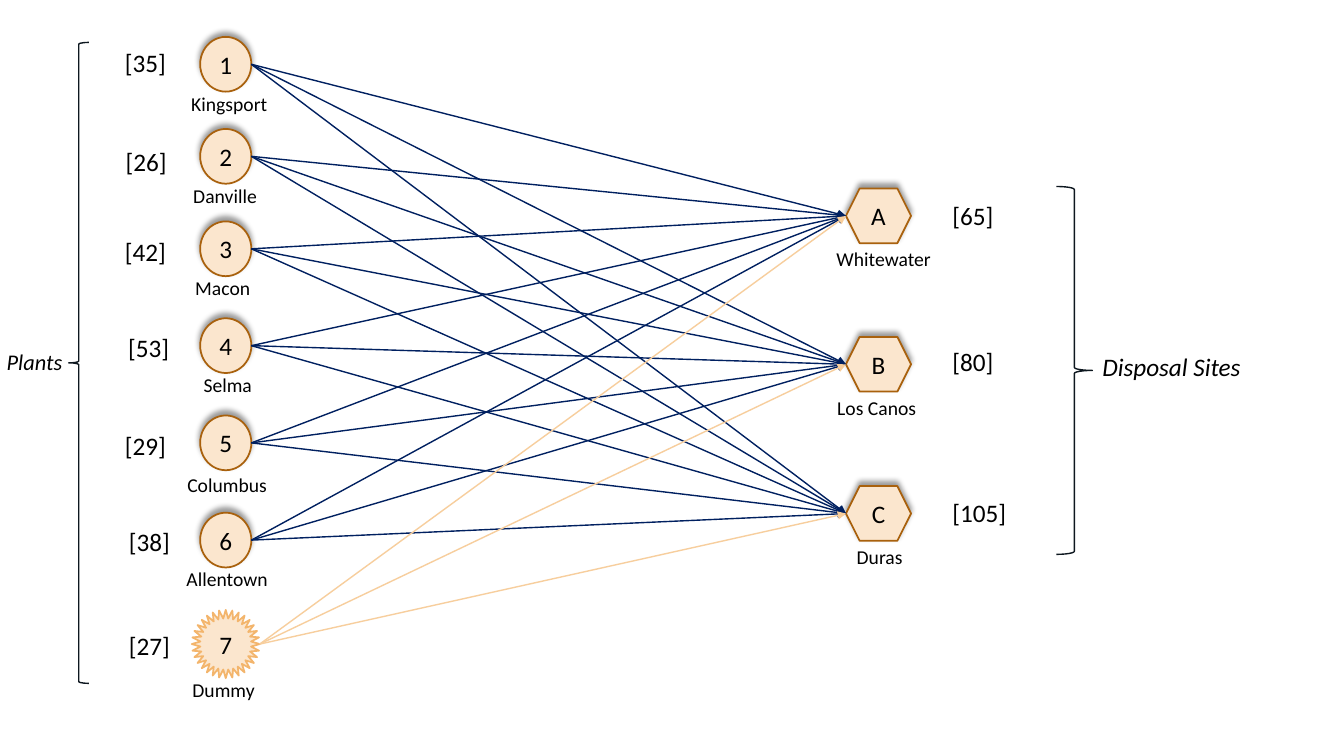
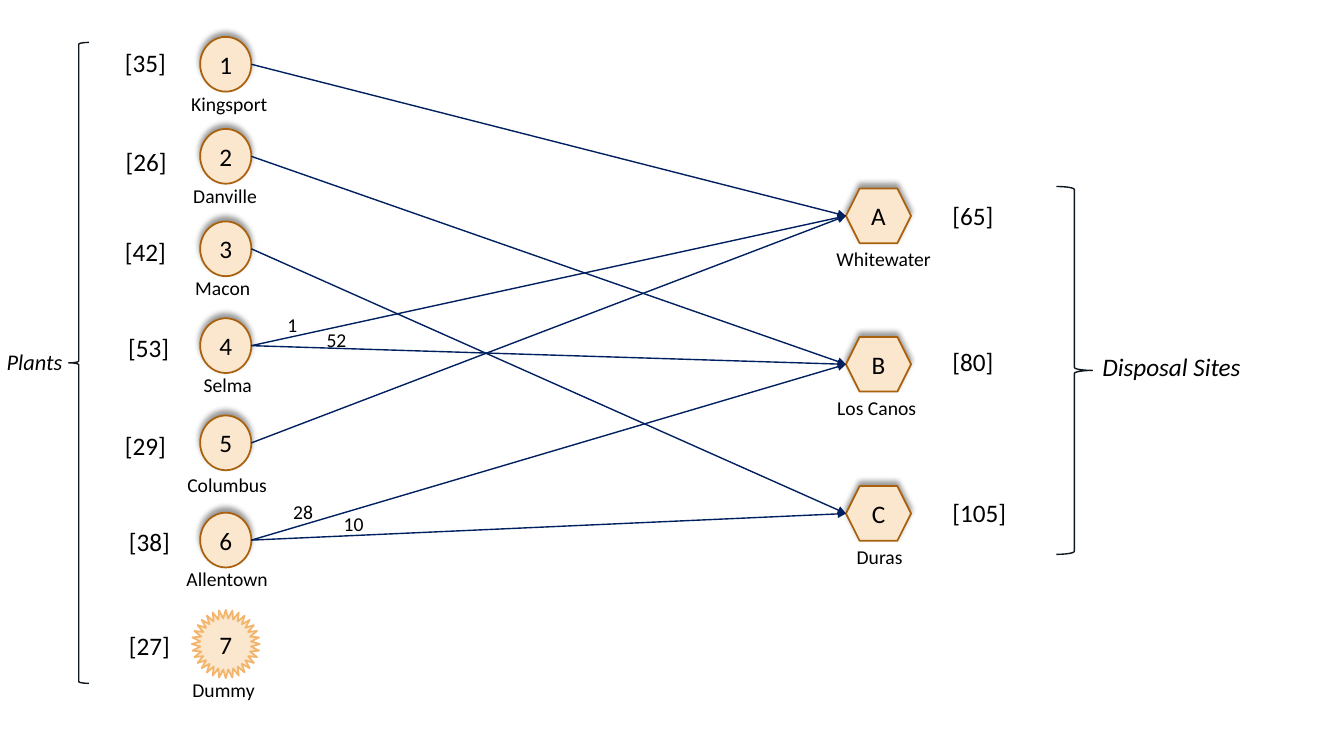
"""Build two network slides that link plants to disposal sites."""

from dataclasses import dataclass
from itertools import product

from lxml.etree import SubElement
from pptx import Presentation
from pptx.dml.color import RGBColor
from pptx.enum.shapes import MSO_CONNECTOR, MSO_SHAPE
from pptx.enum.text import MSO_ANCHOR, MSO_AUTO_SIZE, PP_ALIGN
from pptx.oxml.ns import qn
from pptx.util import Cm, Pt


@dataclass(frozen=True)
class Theme:
    """Hold the colours, type sizes and line widths of the deck."""

    font: str = "Calibri"
    ink: str = "000000"
    node_fill: str = "FBE6CE"
    node_edge: str = "A9610D"
    dummy_edge: str = "F3B56C"
    route: str = "002060"
    dummy_route: str = "F7CE9D"
    brace: str = "0D171F"
    large: int = 18
    medium: int = 16
    small: int = 14
    edge_width: float = 1.25
    line_width: float = 1


@dataclass(frozen=True)
class Kind:
    """Describe the look of one sort of network node, in centimetres."""

    outline: MSO_SHAPE
    center_x: float
    width: float
    height: float
    edge: str
    route: str
    shaded: bool = True


@dataclass(frozen=True)
class Node:
    """Describe one place: name_box is left, top, width; amount_box likewise."""

    kind: Kind
    key: str
    center_y: float
    name: str
    name_box: tuple
    amount: int
    amount_box: tuple


THEME = Theme()
PLANT = Kind(MSO_SHAPE.OVAL, 5.69, 1.29, 1.38, THEME.node_edge, THEME.route)
DUMMY = Kind(MSO_SHAPE.STAR_32_POINT, 5.69, 1.71, 1.72,
             THEME.dummy_edge, THEME.dummy_route, shaded=False)
SITE = Kind(MSO_SHAPE.HEXAGON, 22.14, 1.64, 1.38, THEME.node_edge, THEME.route)

PLANTS = [
    Node(PLANT, "1", 1.62, "Kingsport", (4.57, 2.18, 2.42), 35, (2.9, 1.07, 1.55)),
    Node(PLANT, "2", 3.94, "Danville", (4.62, 4.5, 2.13), 26, (2.92, 3.56, 1.55)),
    Node(PLANT, "3", 6.27, "Macon", (4.67, 6.83, 1.9), 42, (2.9, 5.84, 1.55)),
    Node(PLANT, "4", 8.71, "Selma", (4.88, 9.27, 1.75), 53, (2.98, 8.26, 1.55)),
    Node(PLANT, "5", 11.16, "Columbus", (4.47, 11.79, 2.54), 29, (2.9, 10.72, 1.55)),
    Node(PLANT, "6", 13.61, "Allentown", (4.45, 14.15, 2.59), 38, (3, 13.13, 1.55)),
    Node(DUMMY, "7", 16.23, "Dummy", (4.6, 16.97, 2.08), 27, (3, 15.75, 1.55)),
]
SITES = [
    Node(SITE, "A", 5.44, "Whitewater", (20.83, 6.1, 2.92), 65, (23.75, 4.93, 1.55)),
    Node(SITE, "B", 9.18, "Los Canos", (20.85, 9.86, 2.51), 80, (23.75, 8.61, 1.55)),
    Node(SITE, "C", 12.94, "Duras", (21.34, 13.61, 1.68), 105, (23.75, 12.4, 1.88)),
]
ALL_ROUTES = [plant.key + site.key for plant, site in product(PLANTS, SITES)]
CHOSEN_ROUTES = ["1A", "2B", "3C", "4B", "4A", "5A", "6C", "6B"]
FLOWS = [
    ("1", (6.99, 7.75, 0.84)),
    ("52", (7.98, 8.13, 1.12)),
    ("28", (7.14, 12.47, 1.12)),
    ("10", (8.41, 12.78, 1.12)),
]


def write(frame, text, *, size, italic=False, align=PP_ALIGN.LEFT):
    """Put one formatted line of text into a text frame."""
    paragraph = frame.paragraphs[0]
    paragraph.alignment = align
    run = paragraph.add_run()
    run.text = text
    run.font.name = THEME.font
    run.font.size = Pt(size)
    run.font.italic = italic
    run.font.color.rgb = RGBColor.from_string(THEME.ink)


def add_label(slide, text, box, *, size=THEME.small, wrap=False, italic=False):
    """Add a text box whose height follows from its type size."""
    left, top, width = box
    height = 0.25 + size * 0.043
    label = slide.shapes.add_textbox(Cm(left), Cm(top), Cm(width), Cm(height))
    label.text_frame.word_wrap = wrap
    label.text_frame.auto_size = MSO_AUTO_SIZE.SHAPE_TO_FIT_TEXT
    write(label.text_frame, text, size=size, italic=italic)


def set_line(line, color, width):
    """Set the colour and the width in points of a line."""
    line.color.rgb = RGBColor.from_string(color)
    line.width = Pt(width)


def add_shadow(shape):
    """Cast a soft shadow above a shape."""
    effects = shape.element.spPr.find(qn("a:effectLst"))
    shadow = SubElement(effects, qn("a:outerShdw"), blurRad=str(Pt(4)),
                        dist=str(Pt(3)), dir="16200000", algn="b", rotWithShape="0")
    color = SubElement(shadow, qn("a:srgbClr"), val="000000")
    SubElement(color, qn("a:alpha"), val="40000")


def add_node(slide, node):
    """Draw a node with its key, centred on its place in the column."""
    kind = node.kind
    shape = slide.shapes.add_shape(
        kind.outline,
        Cm(kind.center_x - kind.width / 2), Cm(node.center_y - kind.height / 2),
        Cm(kind.width), Cm(kind.height),
    )
    shape.shadow.inherit = False
    shape.fill.solid()
    shape.fill.fore_color.rgb = RGBColor.from_string(THEME.node_fill)
    set_line(shape.line, kind.edge, THEME.edge_width)
    if kind.shaded:
        add_shadow(shape)
    shape.text_frame.vertical_anchor = MSO_ANCHOR.MIDDLE
    write(shape.text_frame, node.key, size=THEME.large, align=PP_ALIGN.CENTER)


def add_route(slide, plant, site):
    """Draw an arrow from the right of a plant to the left of a site."""
    route = slide.shapes.add_connector(
        MSO_CONNECTOR.STRAIGHT,
        Cm(plant.kind.center_x + plant.kind.width / 2), Cm(plant.center_y),
        Cm(site.kind.center_x - site.kind.width / 2), Cm(site.center_y),
    )
    set_line(route.line, plant.kind.route, THEME.line_width)
    properties = route.element.spPr
    SubElement(properties.find(qn("a:ln")), qn("a:tailEnd"), type="triangle")
    SubElement(properties, qn("a:effectLst"))


def add_brace(slide, outline, left, top, width, height):
    """Draw a brace that groups a column of nodes."""
    brace = slide.shapes.add_shape(outline, Cm(left), Cm(top), Cm(width), Cm(height))
    brace.shadow.inherit = False
    brace.fill.background()
    set_line(brace.line, THEME.brace, THEME.line_width)


def add_network(presentation, routes, flows=()):
    """Add a slide with all nodes, the given routes and their flows."""
    slide = presentation.slides.add_slide(presentation.slide_layouts[6])
    nodes = PLANTS + SITES
    for node in nodes:
        add_node(slide, node)
        add_label(slide, node.name, node.name_box)
    places = {node.key: node for node in nodes}
    for plant_key, site_key in routes:
        add_route(slide, places[plant_key], places[site_key])
    for node in nodes:
        add_label(slide, f"[{node.amount}]", node.amount_box, size=THEME.large)
    add_brace(slide, MSO_SHAPE.RIGHT_BRACE, 26.62, 4.7, 0.91, 9.27)
    add_label(slide, "Disposal Sites", (27.53, 8.74, 4.04),
              size=THEME.large, italic=True)
    add_brace(slide, MSO_SHAPE.LEFT_BRACE, 1.73, 1.07, 0.51, 16.15)
    add_label(slide, "Plants", (-0.08, 8.64, 1.93), size=THEME.medium, italic=True)
    for flow, box in flows:
        add_label(slide, flow, box, wrap=True)


def main():
    """Build and save the deck."""
    presentation = Presentation()
    presentation.slide_width = Cm(33.87)
    presentation.slide_height = Cm(19.05)
    add_network(presentation, ALL_ROUTES)
    add_network(presentation, CHOSEN_ROUTES, FLOWS)
    presentation.save("out.pptx")


if __name__ == "__main__":
    main()
